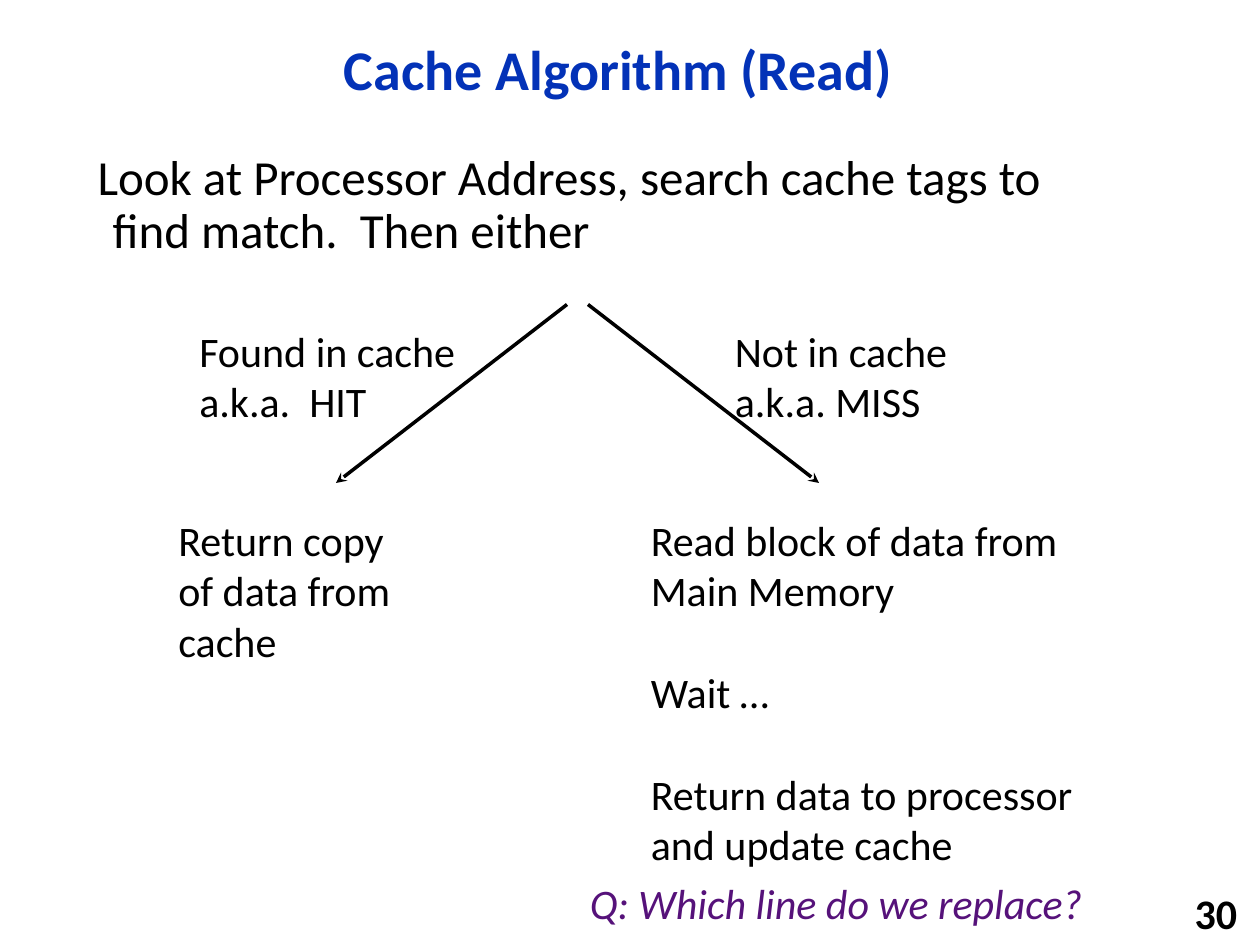
from dataclasses import dataclass

from lxml.etree import SubElement
from pptx import Presentation
from pptx.dml.color import RGBColor
from pptx.enum.shapes import MSO_CONNECTOR
from pptx.enum.text import MSO_ANCHOR, MSO_AUTO_SIZE, PP_ALIGN
from pptx.oxml.ns import qn
from pptx.util import Inches, Pt


@dataclass(frozen=True)
class Theme:
    font: str = "Calibri"
    ink: str = "000000"
    heading: str = "0332B7"
    question: str = "56127A"
    title_size: int = 32
    body_size: int = 28
    note_size: int = 24
    line_width: int = 2
    blank_line: float = 29.3


class SlideBuilder:
    """Places elements on a grid of twelve cells to the inch."""

    CELL = Inches(1) // 12

    def __init__(self, slide, theme):
        self.slide = slide
        self.theme = theme

    def cells(self, *counts):
        return [round(count * self.CELL) for count in counts]

    def text(self, place, lines, size=None, color=None, wrap=False, grow=False,
             anchor=MSO_ANCHOR.TOP, paragraph_format=None, gaps=(), **font_format):
        """Adds one paragraph per line; gaps lists the lines with a blank line's space before."""
        frame = self.slide.shapes.add_textbox(*self.cells(*place)).text_frame
        frame_format = {
            "word_wrap": wrap,
            "vertical_anchor": anchor,
            "auto_size": MSO_AUTO_SIZE.SHAPE_TO_FIT_TEXT if grow else MSO_AUTO_SIZE.NONE,
        }
        for name, value in frame_format.items():
            setattr(frame, name, value)
        font_values = {"name": self.theme.font, "size": Pt(size or self.theme.note_size),
                       **font_format}
        for index, line in enumerate(lines):
            paragraph = frame.paragraphs[0] if index == 0 else frame.add_paragraph()
            for name, value in (paragraph_format or {}).items():
                setattr(paragraph, name, value)
            if index in gaps:
                paragraph.space_before = Pt(self.theme.blank_line)
            run = paragraph.add_run()
            run.text = line
            for name, value in font_values.items():
                setattr(run.font, name, value)
            run.font.color.rgb = RGBColor.from_string(color or self.theme.ink)
        return frame

    def hanging_text(self, place, line, size, left, first):
        frame = self.text(place, [line], size, wrap=True,
                          paragraph_format={"line_spacing": 0.9})
        properties = frame.paragraphs[0]._p.get_or_add_pPr()
        properties.set("marL", str(Inches(left)))
        properties.set("indent", str(Inches(first)))

    def arrow(self, start, end):
        connector = self.slide.shapes.add_connector(
            MSO_CONNECTOR.STRAIGHT, *self.cells(*start, *end))
        connector.line.color.rgb = RGBColor.from_string(self.theme.ink)
        connector.line.width = Pt(self.theme.line_width)
        SubElement(connector.line._get_or_add_ln(), qn("a:tailEnd"), type="stealth")
        SubElement(connector._element.spPr, qn("a:effectLst"))

    def branch(self, start, end, condition, action, gaps=()):
        self.arrow(start, end)
        self.text(*condition, grow=True)
        self.text(*action, grow=True, gaps=gaps)


def main():
    presentation = Presentation()
    presentation.slide_width, presentation.slide_height = Inches(10), Inches(7.5)
    theme = Theme()
    builder = SlideBuilder(
        presentation.slides.add_slide(presentation.slide_layouts[6]), theme)

    builder.text((11, 2, 95.8, 9.7), ["Cache Algorithm (Read)"], theme.title_size,
                 theme.heading, wrap=True, anchor=MSO_ANCHOR.MIDDLE, bold=True,
                 paragraph_format={"alignment": PP_ALIGN.CENTER, "line_spacing": 0.9})
    builder.hanging_text(
        (5, 14, 102, 9.5),
        "Look at Processor Address, search cache tags to find match.  Then either",
        theme.body_size, left=0.38, first=-0.12)

    fork_row, tip_row, condition_row, action_row = 29, 46, 30.4, 48.4
    builder.branch(
        (54, fork_row), (32, tip_row),
        condition=((17.8, condition_row, 27.1, 10.9), ["Found in cache", "a.k.a.  HIT"]),
        action=((15.8, action_row, 22.9, 15.7), ["Return copy", "of data from", "cache"]))
    builder.branch(
        (56, fork_row), (78, tip_row),
        condition=((68.8, condition_row, 22.9, 10.9), ["Not in cache", "a.k.a. MISS"]),
        action=((60.8, action_row, 43.3, 35.2),
                ["Read block of data from", "Main Memory", "Wait …",
                 "Return data to processor", "and update cache"]),
        gaps=(2, 3))

    builder.text((55, 83, 50.4, 6.1), ["Q: Which line do we replace?"],
                 color=theme.question, grow=True, italic=True)
    builder.text((94, 85, 25, 3.8), ["30"], anchor=MSO_ANCHOR.MIDDLE, bold=True,
                 paragraph_format={"alignment": PP_ALIGN.RIGHT})
    presentation.save("out.pptx")


if __name__ == "__main__":
    main()
